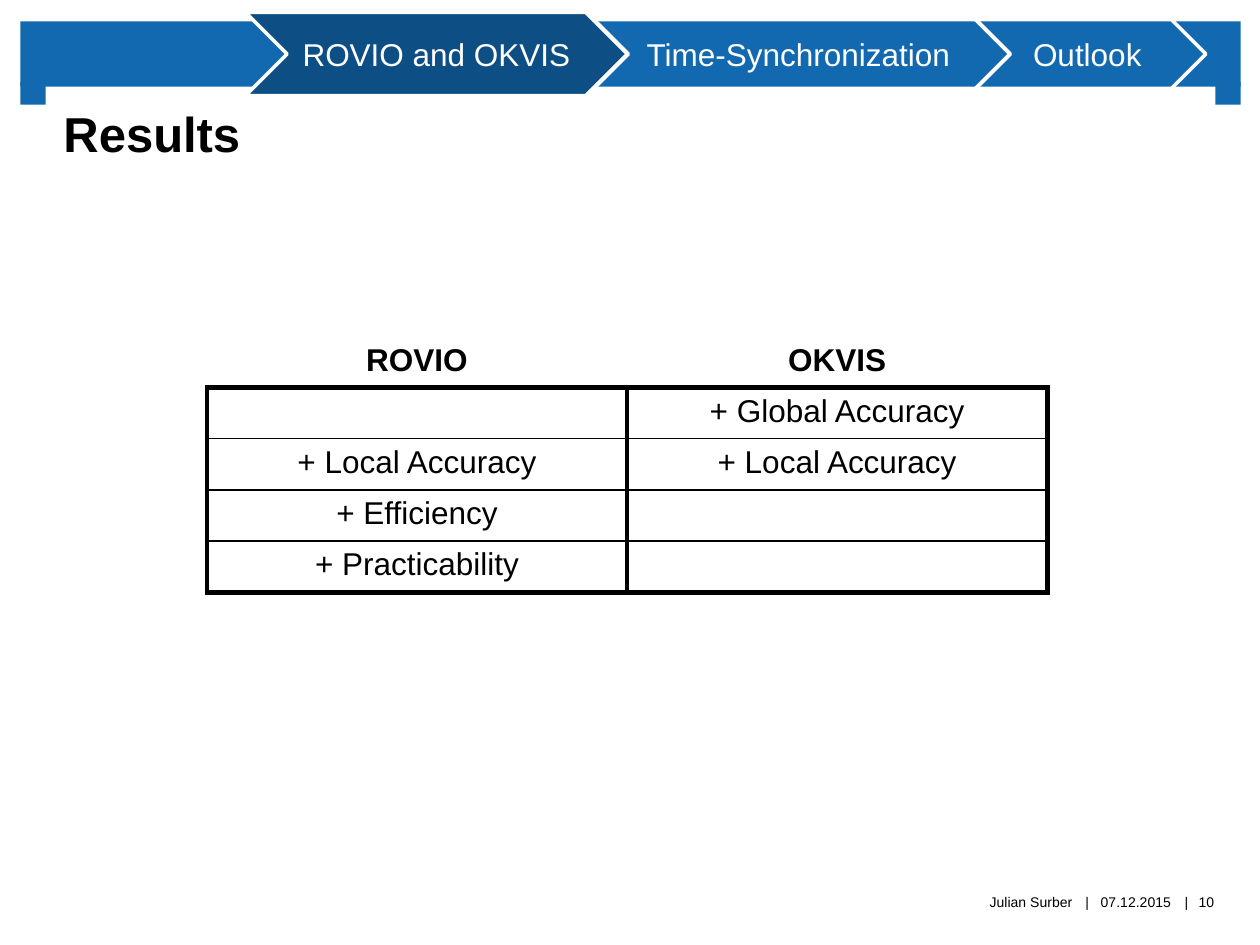
import dataclasses
import pptx
import pptx.util
import pptx.dml.color
import pptx.enum.shapes
import pptx.enum.text
import pptx.oxml
import pptx.oxml.ns

Cm, Pt = pptx.util.Cm, pptx.util.Pt
Kind = pptx.enum.shapes.MSO_SHAPE
Align = pptx.enum.text.PP_ALIGN
Hold = pptx.enum.text.MSO_ANCHOR


@dataclasses.dataclass(frozen=True)
class Theme:
    font: str = "Arial"
    blue: str = "1269B0"
    dark: str = "0D4F84"
    white: str = "FFFFFF"
    black: str = "000000"
    head: int = 28
    body: int = 18
    foot: int = 8


THEME = Theme()


def rgb(code):
    return pptx.dml.color.RGBColor.from_string(code)


def apply(item, form):
    for name, value in form.items():
        setattr(item, name, value)


def paint(fill, code):
    if code:
        fill.solid()
        fill.fore_color.rgb = rgb(code)
    else:
        fill.background()


def write(frame, text, size, color, align=Align.CENTER, bold=False):
    para = frame.paragraphs[0]
    para.alignment = align
    if text:
        run = para.add_run()
        run.text = text
        apply(run.font, {"name": THEME.font, "size": Pt(size), "bold": bold})
        run.font.color.rgb = rgb(color)
    else:
        para.font.size = Pt(size)


def inset(frame, side=0, low=0):
    apply(frame, {
        "margin_left": Cm(side), "margin_right": Cm(side),
        "margin_top": 0, "margin_bottom": Cm(low), "word_wrap": True,
    })


def shape(slide, kind, box, code, edge=None):
    item = slide.shapes.add_shape(kind, *map(Cm, box))
    item.shadow.inherit = False
    paint(item.fill, code)
    paint(item.line.fill, edge)
    return item


def band(slide, box):
    left, top, width, high = box
    foot = 0.51
    shape(slide, Kind.RECTANGLE, box, THEME.blue)
    for x in (left, left + width - foot):
        shape(slide, Kind.RECTANGLE, (x, top + high - 0.1, foot, 0.46), THEME.blue)


def title(slide, box):
    item = slide.shapes.title
    apply(item, dict(zip(("left", "top", "width", "height"), map(Cm, box))))
    paint(item.fill, THEME.white)
    frame = item.text_frame
    inset(frame, 0.39, 1.14)
    frame.vertical_anchor = Hold.BOTTOM
    write(frame, "Results", THEME.head, THEME.black, Align.LEFT, True)


def steps(slide, box):
    left, top, width, high = box
    for x, wide, text, code in (
        (14.58, 4.78, "Outlook", None),
        (6.88, 8.53, "Time-Synchronization", None),
        (0, 7.7, "ROVIO and OKVIS", THEME.dark),
    ):
        item = shape(slide, Kind.CHEVRON, (left + x, top, wide, high), code, THEME.white)
        item.line.width = Pt(2)
        inset(item.text_frame)
        item.text_frame.vertical_anchor = Hold.MIDDLE
        write(item.text_frame, text, THEME.body, THEME.white)


def border(cell, sides):
    props = cell._tc.get_or_add_tcPr()
    space = pptx.oxml.ns.nsdecls("a")
    for spot, (side, (code, width)) in enumerate(sides.items()):
        props.insert(spot, pptx.oxml.parse_xml(
            f'<a:ln{side} {space} w="{Pt(width)}"><a:solidFill>'
            f'<a:srgbClr val="{code}"/></a:solidFill></a:ln{side}>'))


def grid(slide, box):
    rows = (
        ("ROVIO", "OKVIS"),
        ("", "+ Global Accuracy"),
        ("+ Local Accuracy", "+ Local Accuracy"),
        ("+ Efficiency", ""),
        ("+ Practicability", ""),
    )
    table = slide.shapes.add_table(len(rows), 2, *map(Cm, box)).table
    apply(table, {"first_row": False, "horz_banding": False})
    none, thin, thick = (THEME.white, 1), (THEME.black, 1), (THEME.black, 3)
    last = len(rows) - 1
    for r, row in enumerate(rows):
        side = none if r == 0 else thick
        sides = {
            "L": side, "R": side,
            "T": none if r == 0 else thick if r == 1 else thin,
            "B": thick if r in (0, last) else thin,
        }
        for c, text in enumerate(row):
            cell = table.cell(r, c)
            paint(cell.fill, THEME.white if r else None)
            border(cell, sides)
            write(cell.text_frame, text, THEME.body, THEME.black, bold=r == 0)


def footer(slide, box):
    left, top, width, high = box
    for x, wide, text, align, code in (
        (11.07, 0.3, "|", Align.CENTER, None),
        (9.07, 0.3, "|", Align.CENTER, None),
        (0, 8.92, "Julian Surber", Align.RIGHT, None),
        (width - 0.74, 0.74, "10", Align.CENTER, None),
        (9.35, 1.7, "07.12.2015", Align.CENTER, THEME.white),
    ):
        item = slide.shapes.add_textbox(*map(Cm, (left + x, top, wide, high)))
        paint(item.fill, code)
        inset(item.text_frame)
        item.text_frame.vertical_anchor = Hold.MIDDLE
        write(item.text_frame, text, THEME.foot, THEME.black, align)


def main():
    deck = pptx.Presentation()
    apply(deck, {"slide_width": Cm(25.4), "slide_height": Cm(19.05)})
    slide = deck.slides.add_slide(deck.slide_layouts[5])
    band(slide, (0.41, 0.43, 24.6, 1.32))
    title(slide, (0.89, 1.73, 23.6, 2.69))
    steps(slide, (4.95, 0.25, 19.36, 1.68))
    grid(slide, (4.17, 6.78, 16.94, 5.16))
    footer(slide, (12.7, 17.53, 11.99, 1.3))
    deck.save("out.pptx")


if __name__ == "__main__":
    main()
